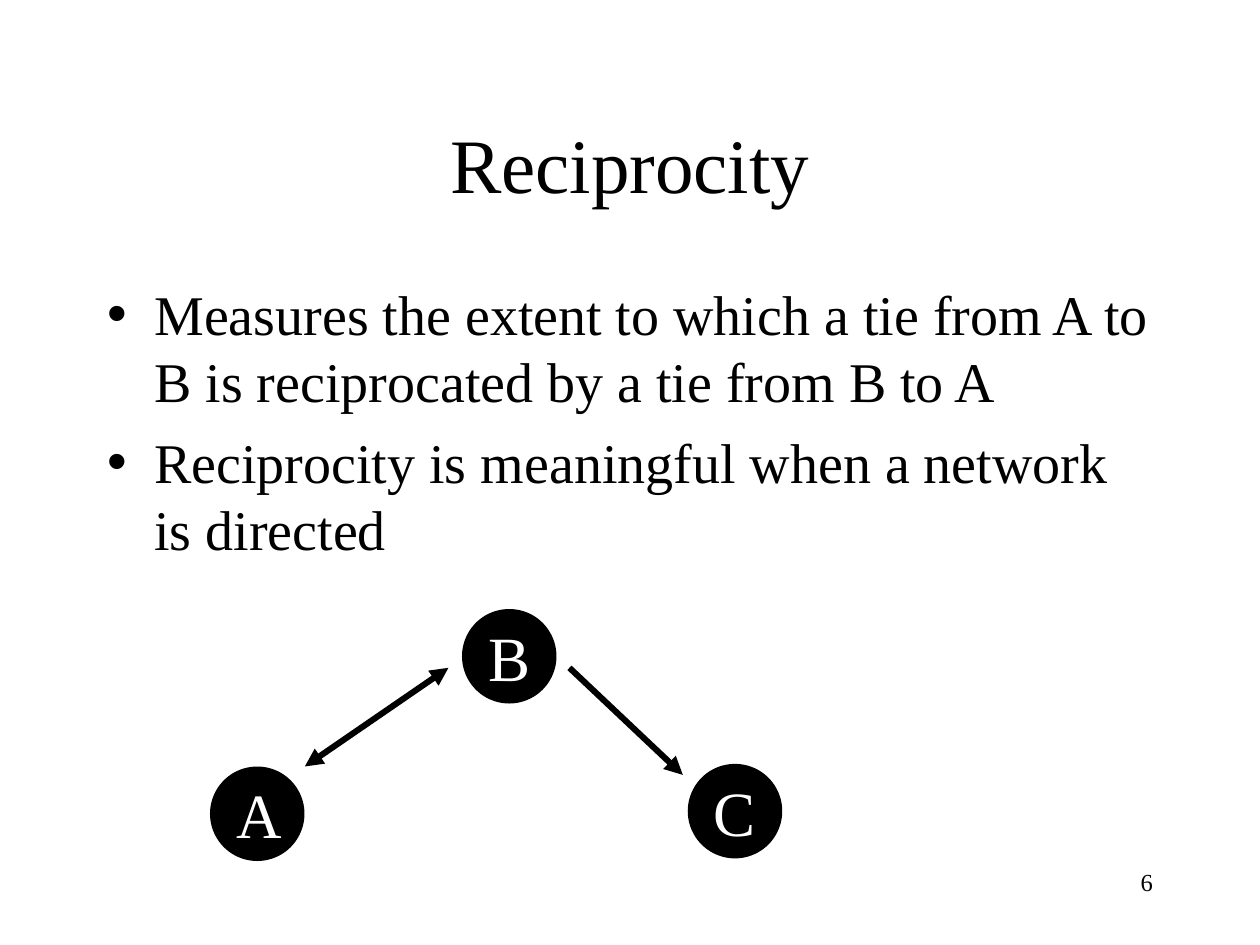
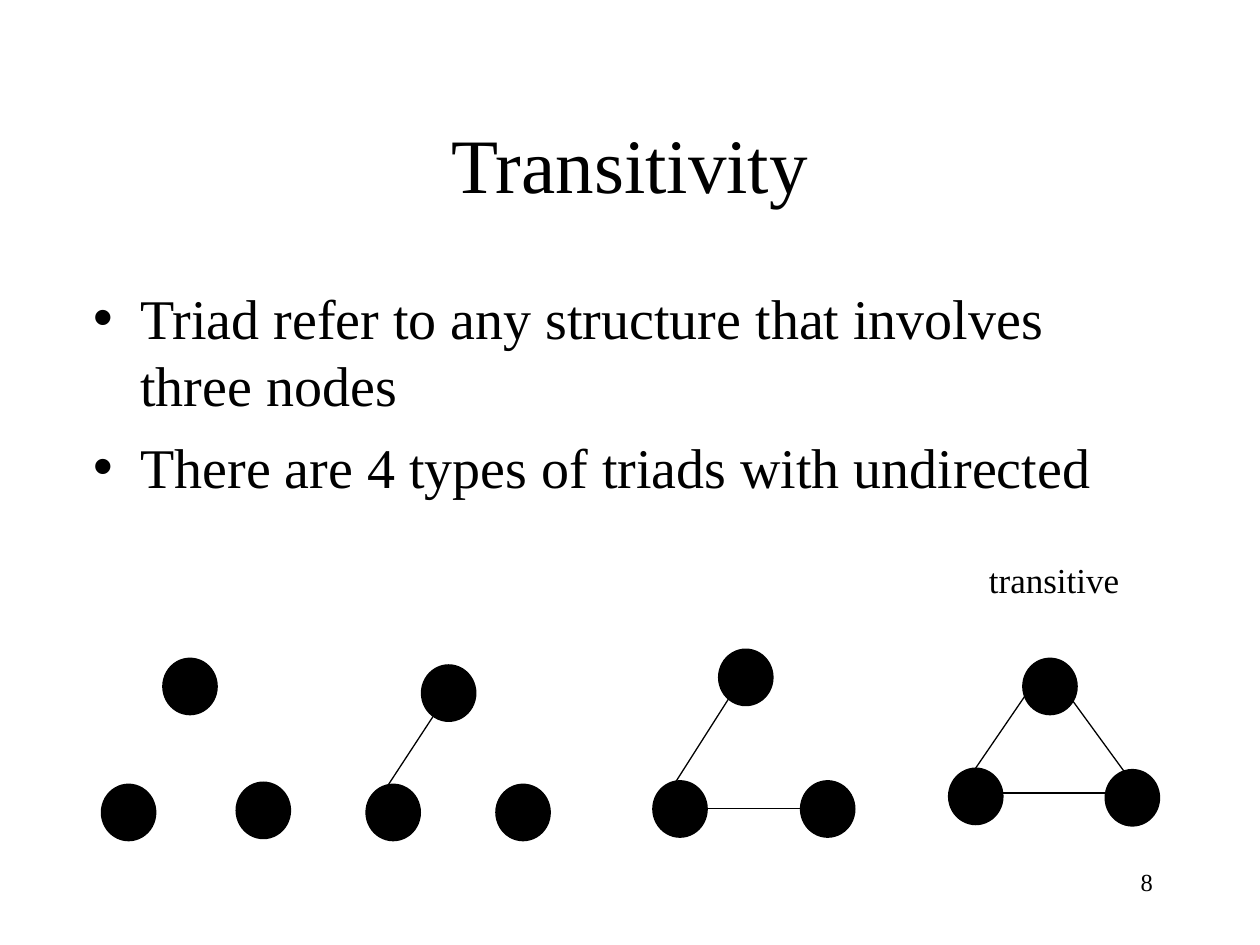
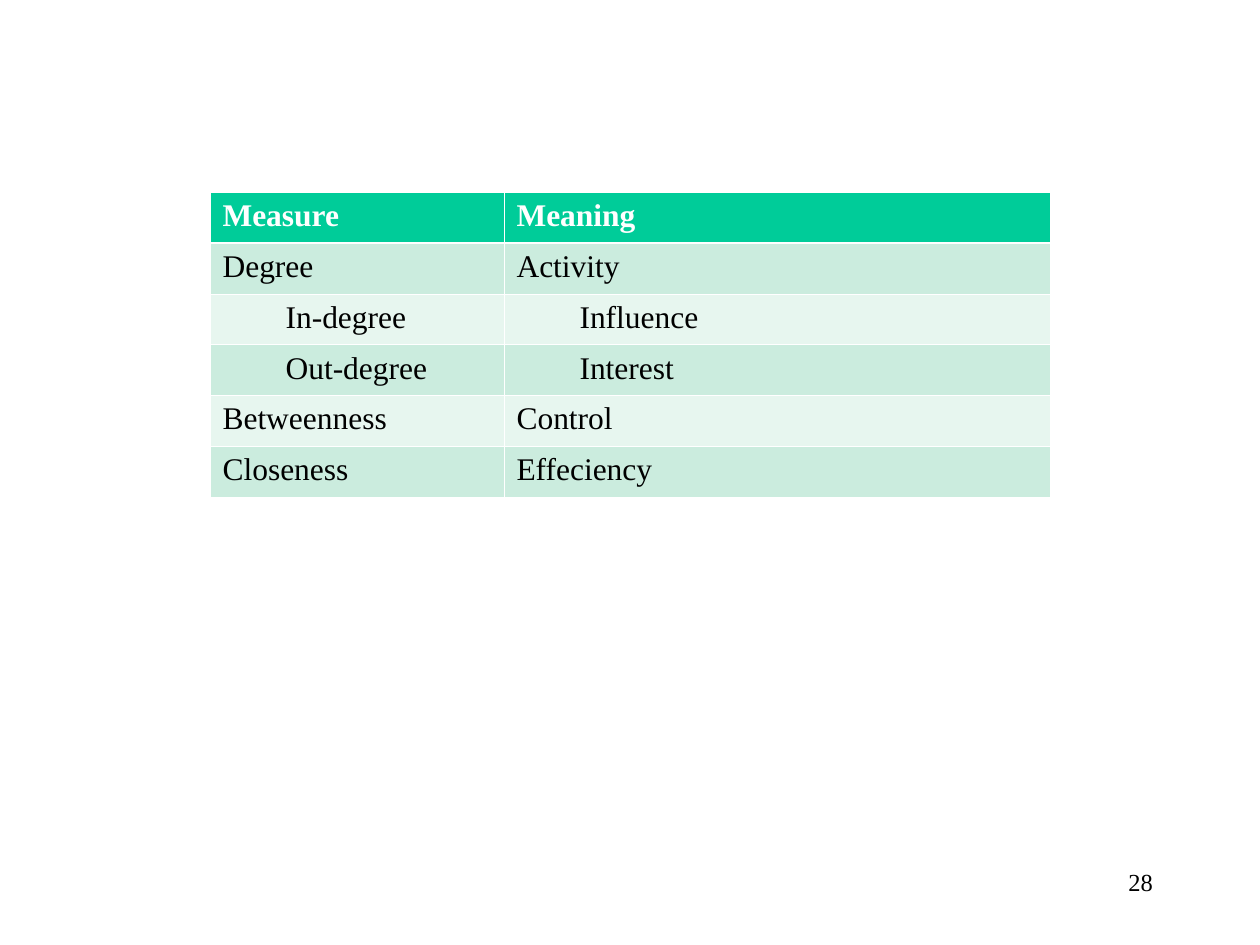
"""Build three slides on reciprocity, transitivity and centrality measures."""
from dataclasses import dataclass
from typing import NamedTuple

from lxml import etree
from pptx import Presentation
from pptx.dml.color import RGBColor
from pptx.enum.shapes import MSO_CONNECTOR, MSO_SHAPE
from pptx.enum.text import MSO_ANCHOR, MSO_AUTO_SIZE, PP_ALIGN
from pptx.oxml.ns import qn
from pptx.slide import Slide
from pptx.util import Pt

BLACK = RGBColor(0x00, 0x00, 0x00)
WHITE = RGBColor(0xFF, 0xFF, 0xFF)
HEADER_GREEN = RGBColor(0x00, 0xCC, 0x99)
BAND_DARK = RGBColor(0xCB, 0xEC, 0xDE)
BAND_LIGHT = RGBColor(0xE7, 0xF6, 0xEF)

FONT = "Times New Roman"
STRAIGHT = MSO_CONNECTOR.STRAIGHT
OVAL = MSO_SHAPE.OVAL
LEFT, CENTER, RIGHT = PP_ALIGN.LEFT, PP_ALIGN.CENTER, PP_ALIGN.RIGHT
MIDDLE = MSO_ANCHOR.MIDDLE
NO_FIT, GROW = MSO_AUTO_SIZE.NONE, MSO_AUTO_SIZE.SHAPE_TO_FIT_TEXT

TITLE_AND_BODY, BLANK = 1, 6
THIN, THICK = 0.75, 3.5


class Point(NamedTuple):
    """A place on the page, in points."""
    x: float
    y: float


class Box(NamedTuple):
    """A rectangle on the page, in points."""
    left: float
    top: float
    width: float
    height: float


@dataclass(frozen=True)
class Node:
    """A black ellipse with an optional letter."""
    corner: Point
    width: float
    height: float
    label: str = ""


@dataclass(frozen=True)
class Edge:
    """A straight tie with optional arrowheads."""
    start: Point
    end: Point
    weight: float = THIN
    arrow_at_start: bool = False
    arrow_at_end: bool = False


@dataclass(frozen=True)
class Triad:
    """The corners of three equal nodes and the ties between them."""
    corners: tuple[Point, Point, Point]
    edges: tuple[Edge, ...] = ()


TITLE_BOX = Box(54, 48, 612, 90)
NUMBER_BOX = Box(516, 492, 150, 36)
TRANSITIVE_BOX = Box(558, 315.4, 90, 31.5)
TABLE_BOX = Box(120, 110, 480, 174)
COLUMN_WIDTHS = (168, 312)

LETTER_SIZE = 54
LETTER_NODES = tuple(
    Node(corner, LETTER_SIZE, LETTER_SIZE, label)
    for label, corner in (("A", Point(120, 438)), ("B", Point(264, 348)), ("C", Point(393, 436.5)))
)
LETTER_EDGES = (
    Edge(Point(256.3, 381.6), Point(174.2, 438), THICK, True, True),
    Edge(Point(325.4, 381.6), Point(390.2, 442.8), THICK, False, True),
)

DOT_WIDTH, DOT_HEIGHT = 31.8, 33
TRIADS = (
    Triad((Point(92.7, 375.8), Point(57.6, 447.8), Point(134.6, 446.6))),
    Triad(
        (Point(240.5, 379.6), Point(208.8, 447.8), Point(283, 447.8)),
        (Edge(Point(252, 402.5), Point(211, 465.1)),),
    ),
    Triad(
        (Point(410.3, 370.6), Point(372.7, 445.8), Point(457.1, 445.8)),
        (
            Edge(Point(421.2, 391.7), Point(380.9, 455)),
            Edge(Point(477.4, 462.2), Point(372.7, 462.2)),
        ),
    ),
    Triad(
        (Point(584.1, 375.8), Point(541.7, 438.6), Point(631.2, 439.4)),
        (
            Edge(Point(593.3, 386.6), Point(554.4, 443.5)),
            Edge(Point(605.5, 390.2), Point(642.2, 440.6)),
            Edge(Point(659.5, 453.1), Point(554.4, 453.1)),
        ),
    ),
)

MEASURES = (
    ("Measure", "Meaning", 0),
    ("Degree", "Activity", 0),
    ("In-degree", "Influence", 1),
    ("Out-degree", "Interest", 1),
    ("Betweenness", "Control", 0),
    ("Closeness", "Effeciency", 0),
)


def place(shape, box: Box) -> None:
    """Move and size a shape."""
    shape.left, shape.top, shape.width, shape.height = map(Pt, box)


def style(para, size: float, color: RGBColor = BLACK, align=LEFT, bold: bool = False) -> None:
    """Format a whole paragraph."""
    para.alignment = align
    font = para.font
    font.name, font.size, font.bold = FONT, Pt(size), bold
    font.color.rgb = color


def add_label(page: Slide, text: str, box: Box, size: float, align=LEFT, wrap: bool = True) -> None:
    """Add a one-paragraph text box that grows with its text unless it wraps."""
    label = page.shapes.add_textbox(*map(Pt, box))
    label.text_frame.word_wrap = wrap
    label.text_frame.auto_size = NO_FIT if wrap else GROW
    label.text_frame.text = text
    style(label.text_frame.paragraphs[0], size, align=align)


def add_page_number(page: Slide, number: int) -> None:
    """Add the number at the lower right."""
    add_label(page, str(number), NUMBER_BOX, 14, RIGHT)


def fill_title_and_body(page: Slide, title: str, bullets: tuple[str, ...], body_box: Box) -> None:
    """Write the title and the bulleted list into their placeholders."""
    heading = page.shapes.title
    place(heading, TITLE_BOX)
    heading.text_frame.text = title
    heading.text_frame.auto_size = NO_FIT
    heading.text_frame.vertical_anchor = MIDDLE
    style(heading.text_frame.paragraphs[0], 44, align=CENTER)

    body = page.placeholders[1]
    place(body, body_box)
    body.text_frame.text = "\n".join(bullets)
    body.text_frame.auto_size = NO_FIT
    for index, para in enumerate(body.text_frame.paragraphs):
        style(para, 32)
        para.space_before = Pt(8 if index else 0)


def add_node(page: Slide, node: Node) -> None:
    """Draw one node."""
    oval = page.shapes.add_shape(OVAL, *map(Pt, (*node.corner, node.width, node.height)))
    oval.shadow.inherit = False
    oval.fill.solid()
    oval.fill.fore_color.rgb = BLACK
    oval.line.fill.background()
    if node.label:
        oval.text_frame.text = node.label
        oval.text_frame.vertical_anchor = MIDDLE
        style(oval.text_frame.paragraphs[0], 36, WHITE, CENTER)


def add_edge(page: Slide, edge: Edge) -> None:
    """Draw one tie."""
    connector = page.shapes.add_connector(STRAIGHT, *map(Pt, (*edge.start, *edge.end)))
    connector.line.color.rgb = BLACK
    connector.line.width = Pt(edge.weight)
    properties = connector.element.spPr
    line = properties.find(qn("a:ln"))
    for tag, wanted in (("a:headEnd", edge.arrow_at_start), ("a:tailEnd", edge.arrow_at_end)):
        if wanted:
            etree.SubElement(line, qn(tag), type="triangle")
    etree.SubElement(properties, qn("a:effectLst"))


def add_network(page: Slide, nodes: tuple[Node, ...], edges: tuple[Edge, ...]) -> None:
    """Draw ties first so that nodes cover their ends."""
    for edge in edges:
        add_edge(page, edge)
    for node in nodes:
        add_node(page, node)


def set_borders(cell, top: float, bottom: float) -> None:
    """Give a cell white borders."""
    properties = cell._tc.get_or_add_tcPr()
    for tag, weight in (("a:lnL", 0.45), ("a:lnR", 0.45), ("a:lnT", top), ("a:lnB", bottom)):
        line = etree.SubElement(properties, qn(tag), w=str(Pt(weight)))
        fill = etree.SubElement(line, qn("a:solidFill"))
        etree.SubElement(fill, qn("a:srgbClr"), val=str(WHITE))


def add_measure_table(page: Slide) -> None:
    """Draw the table of measures and their meanings."""
    frame = page.shapes.add_table(len(MEASURES), len(COLUMN_WIDTHS), *map(Pt, TABLE_BOX))
    table = frame.table
    for column, width in zip(table.columns, COLUMN_WIDTHS):
        column.width = Pt(width)
    for row, (measure, meaning, level) in enumerate(MEASURES):
        is_header = row == 0
        band = HEADER_GREEN if is_header else BAND_DARK if row % 2 else BAND_LIGHT
        for column, text in enumerate((measure, meaning)):
            cell = table.cell(row, column)
            set_borders(cell, 1.47 if row == 1 else 0.45, 1.47 if is_header else 0.45)
            cell.fill.solid()
            cell.fill.fore_color.rgb = band
            cell.text = text
            para = cell.text_frame.paragraphs[0]
            if level:
                para.level = level
                para._p.get_or_add_pPr().set("marL", str(Pt(36 * level)))
            style(para, 18, WHITE if is_header else BLACK, bold=is_header)


def build_reciprocity(page: Slide) -> None:
    """Explain reciprocity with a directed network."""
    bullets = (
        "Measures the extent to which a tie from A to B is reciprocated by a tie from B to A",
        "Reciprocity is meaningful when a network is directed",
    )
    fill_title_and_body(page, "Reciprocity", bullets, Box(54, 156, 612, 324))
    add_page_number(page, 6)
    add_network(page, LETTER_NODES, LETTER_EDGES)


def build_transitivity(page: Slide) -> None:
    """Show the four undirected triads."""
    bullets = (
        "Triad refer to any structure that involves three nodes",
        "There are 4 types of triads with undirected",
    )
    fill_title_and_body(page, "Transitivity", bullets, Box(46, 158.5, 612, 324))
    add_page_number(page, 8)
    for triad in TRIADS:
        nodes = tuple(Node(corner, DOT_WIDTH, DOT_HEIGHT) for corner in triad.corners)
        add_network(page, nodes, triad.edges)
    add_label(page, "transitive", TRANSITIVE_BOX, 20, wrap=False)


def build_measures(page: Slide) -> None:
    """List what each centrality measure means."""
    add_page_number(page, 28)
    add_measure_table(page)


def main() -> None:
    """Build and save the deck."""
    deck = Presentation()
    deck.slide_width, deck.slide_height = Pt(720), Pt(540)
    for layout, build in (
        (TITLE_AND_BODY, build_reciprocity),
        (TITLE_AND_BODY, build_transitivity),
        (BLANK, build_measures),
    ):
        build(deck.slides.add_slide(deck.slide_layouts[layout]))
    deck.save("out.pptx")


if __name__ == "__main__":
    main()
